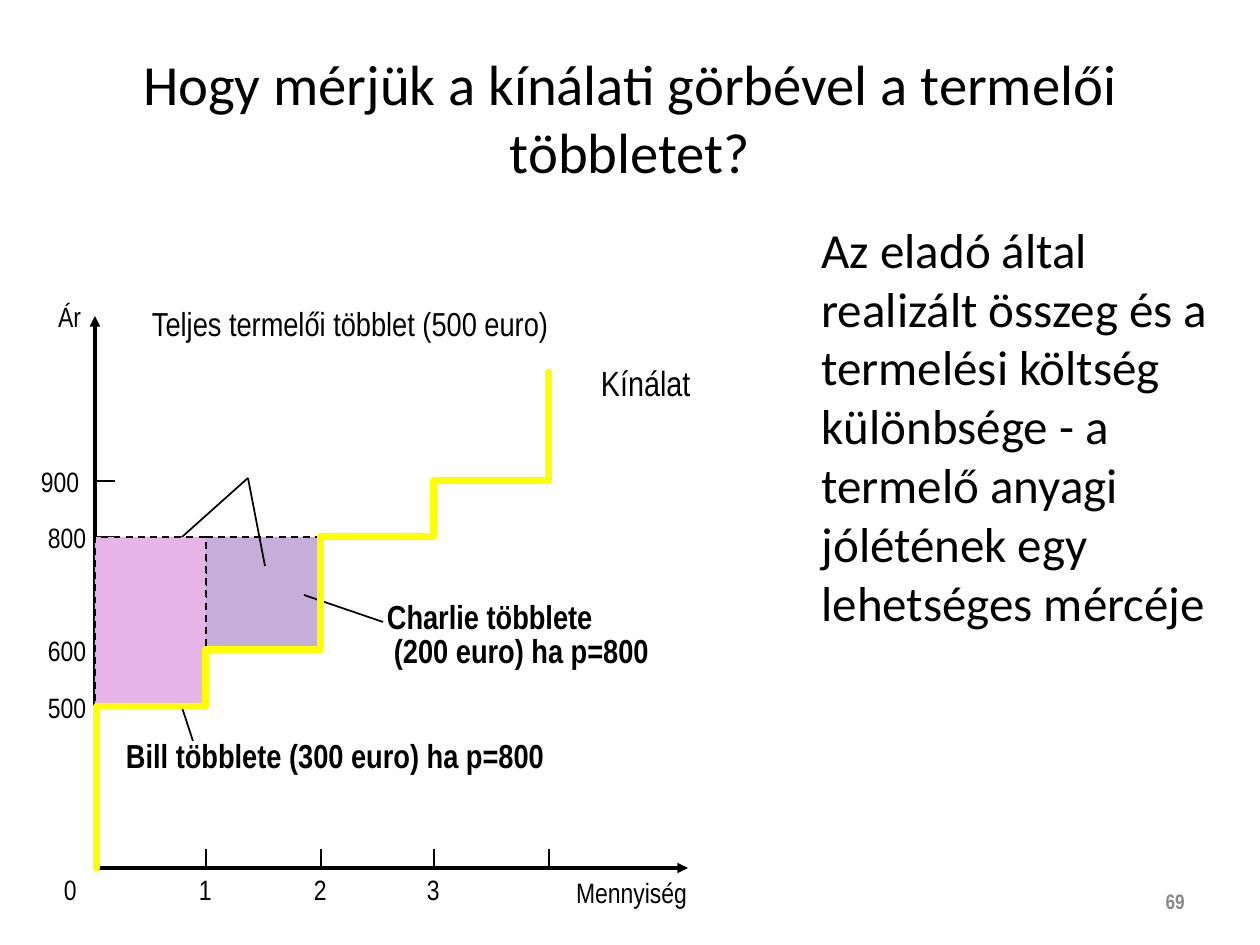
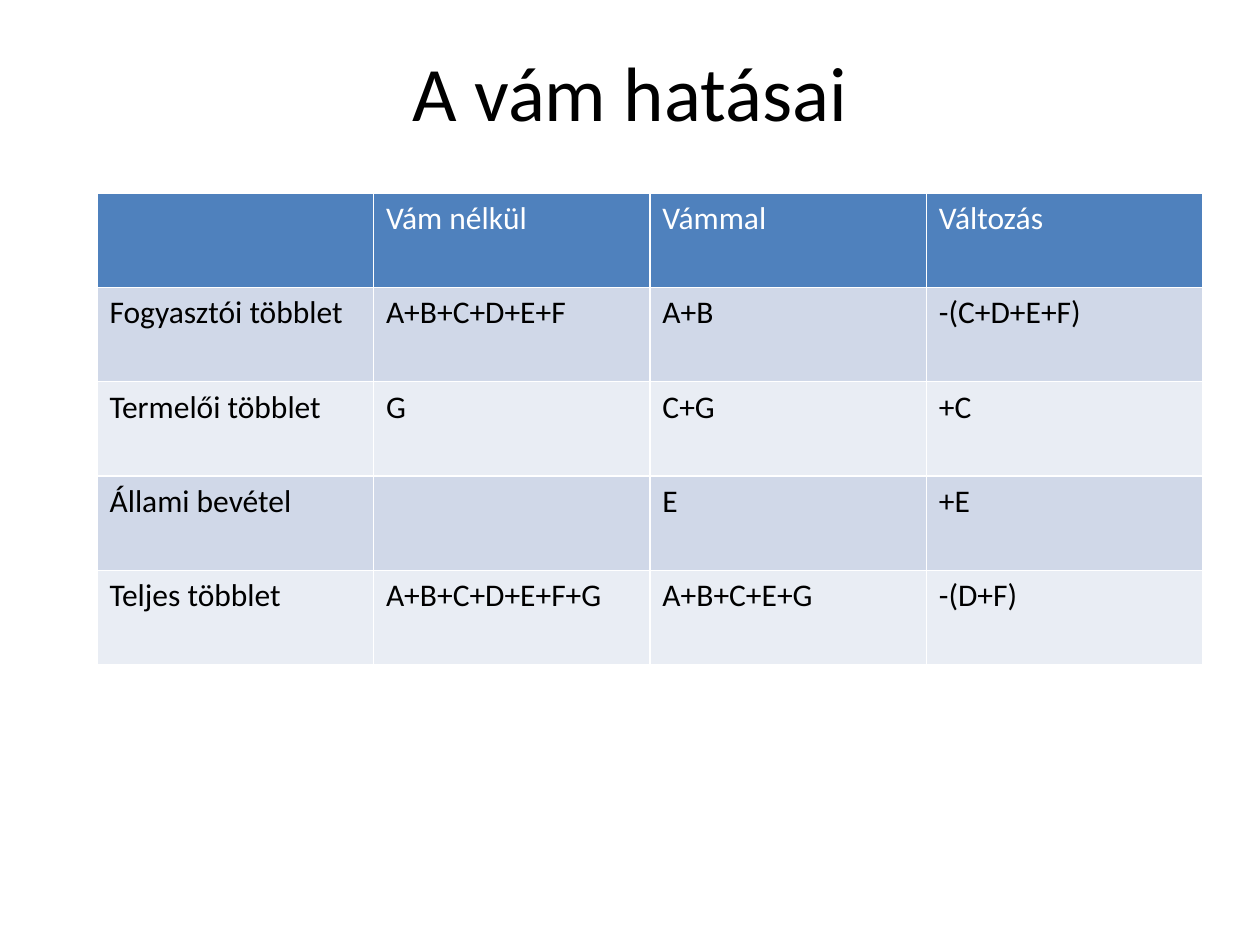
from lxml import etree
from pptx import Presentation
from pptx.dml.color import RGBColor
from pptx.enum.dml import MSO_LINE
from pptx.enum.shapes import MSO_CONNECTOR, MSO_SHAPE
from pptx.enum.text import MSO_ANCHOR, MSO_AUTO_SIZE, PP_ALIGN
from pptx.oxml.ns import qn
from pptx.util import Pt

# Shared measures, fonts and colours
PX = 914400 / 126
LEFT, CENTER, RIGHT = PP_ALIGN.LEFT, PP_ALIGN.CENTER, PP_ALIGN.RIGHT
TOP, MIDDLE = MSO_ANCHOR.TOP, MSO_ANCHOR.MIDDLE
FIT, NO_FIT = MSO_AUTO_SIZE.SHAPE_TO_FIT_TEXT, MSO_AUTO_SIZE.NONE
RECTANGLE, STRAIGHT, DASH = MSO_SHAPE.RECTANGLE, MSO_CONNECTOR.STRAIGHT, MSO_LINE.DASH
CHART_FONT, TEXT_FONT = "Arial Narrow", "Calibri"
BLACK, WHITE, GRAY, YELLOW = "000000", "FFFFFF", "898989", "FFFF00"
PINK, LILAC = "E6B4E6", "C5AED9"
HEADER, BAND_DARK, BAND_LIGHT = "4F81BD", "D0D8E8", "E9EDF4"
TITLE_ONLY, TITLE_AND_BODY = 5, 1

# Diagram grid: left edge of each unit sold, and the height of a price
UNIT_X = [95, 206, 321, 434, 549]
AXIS_Y = 868
TICK_PRICES = [500, 600, 800, 900]

TARIFF_ROWS = [
    ["", "Vám nélkül", "Vámmal", "Változás"],
    ["Fogyasztói többlet", "A+B+C+D+E+F", "A+B", "-(C+D+E+F)"],
    ["Termelői többlet", "G", "C+G", "+C"],
    ["Állami bevétel", "", "E", "+E"],
    ["Teljes többlet", "A+B+C+D+E+F+G", "A+B+C+E+G", "-(D+F)"],
]


def px(length):
    return round(length * PX)


def price_y(price):
    return round(706 - (price - 500) * 0.5625)


def color(hex_code):
    return RGBColor.from_string(hex_code)


def place(shape, left, top, width, height):
    shape.left, shape.top = px(left), px(top)
    shape.width, shape.height = px(width), px(height)


def add_text(para, text, size, font=CHART_FONT, fill=BLACK, bold=False, align=LEFT):
    para.alignment = align
    span = para.add_run()
    span.text = text
    span.font.size, span.font.name, span.font.bold = Pt(size), font, bold
    span.font.color.rgb = color(fill)


def set_title(page, text, size, anchor):
    title = page.shapes.title
    place(title, 63, 38, 1134, 157)
    frame = title.text_frame
    frame.auto_size, frame.vertical_anchor = NO_FIT, anchor
    add_text(frame.paragraphs[0], text, size, TEXT_FONT, align=CENTER)


def set_body(page, text):
    body = page.placeholders[1]
    place(body, 809, 213, 446, 428)
    frame = body.text_frame
    frame.auto_size = NO_FIT
    para = frame.paragraphs[0]
    properties = para._p.get_or_add_pPr()
    properties.set("marL", "0")
    properties.set("indent", "0")
    etree.SubElement(properties, qn("a:buNone"))
    para.space_before = Pt(0)
    add_text(para, text, 28, TEXT_FONT)


def add_label(page, lines, left, top, width, height, size=16, bold=False,
              align=LEFT, spacing=None, wrap=False, indent=0):
    """Unpadded text; lines after the first are indented."""
    box = page.shapes.add_textbox(px(left), px(top), px(width), px(height))
    frame = box.text_frame
    frame.margin_left = frame.margin_right = frame.margin_top = frame.margin_bottom = 0
    frame.word_wrap, frame.auto_size = wrap, FIT
    for index, line in enumerate(lines):
        para = frame.add_paragraph() if index else frame.paragraphs[0]
        if index and indent:
            para._p.get_or_add_pPr().set("marL", str(px(indent)))
        if spacing:
            para.line_spacing = spacing
        add_text(para, line, size, bold=bold, align=align)


def add_page_number(page, number):
    box = page.shapes.add_textbox(px(903), px(876), px(294), px(50))
    box.text_frame.word_wrap = True
    box.text_frame.vertical_anchor = MIDDLE
    add_text(box.text_frame.paragraphs[0], number, 12, fill=GRAY, bold=True, align=RIGHT)


def add_line(page, start, end):
    line = page.shapes.add_connector(STRAIGHT, *[px(value) for value in start + end])
    line.line.color.rgb, line.line.width = color(BLACK), Pt(1)
    etree.SubElement(line._element.spPr, qn("a:effectLst"))


def add_surplus(page, left, top, right, bottom, fill):
    area = page.shapes.add_shape(RECTANGLE, px(left), px(top),
                                 px(right - left), px(bottom - top))
    area.shadow.inherit = False
    area.fill.solid()
    area.fill.fore_color.rgb = color(fill)
    area.line.color.rgb, area.line.width = color(BLACK), Pt(1)
    area.line.dash_style = DASH


def add_path(page, points, stroke, width, arrows=False):
    builder = page.shapes.build_freeform(*points[0], scale=PX)
    builder.add_line_segments(points[1:], close=False)
    outline = builder.convert_to_shape()
    outline.shadow.inherit = False
    outline.fill.background()
    outline.line.color.rgb, outline.line.width = color(stroke), Pt(width)
    line = outline.line._get_or_add_ln()
    if arrows:
        for end in ("a:headEnd", "a:tailEnd"):
            etree.SubElement(line, qn(end), type="triangle")
    else:
        line.set("cap", "rnd")
        etree.SubElement(line, qn("a:round"))


def format_cell(cell, text, fill, text_fill):
    cell.fill.solid()
    cell.fill.fore_color.rgb = color(fill)
    properties = cell._tc.get_or_add_tcPr()
    for index, side in enumerate(("a:lnL", "a:lnR", "a:lnT", "a:lnB")):
        border = etree.Element(qn(side), w=str(Pt(1)))
        solid = etree.SubElement(border, qn("a:solidFill"))
        etree.SubElement(solid, qn("a:srgbClr"), val=WHITE)
        properties.insert(index, border)
    if text:
        add_text(cell.text_frame.paragraphs[0], text, 18, TEXT_FONT, text_fill)


def add_table(page, rows, left, top, width, height):
    table = page.shapes.add_table(len(rows), len(rows[0]), px(left), px(top),
                                  px(width), px(height)).table
    table.first_row = table.horz_banding = False
    for row_index, row in enumerate(rows):
        band = BAND_DARK if row_index % 2 else BAND_LIGHT
        fill, text_fill = (band, BLACK) if row_index else (HEADER, WHITE)
        for column, text in enumerate(row):
            format_cell(table.cell(row_index, column), text, fill, text_fill)


def draw_supply_diagram(page):
    y500, y600, y800, y900 = [price_y(price) for price in TICK_PRICES]
    origin, first, second, third, fourth = UNIT_X

    # Axes, ticks and scale labels
    for price in TICK_PRICES:
        y = price_y(price)
        add_line(page, (115, y), (93, y))
        left = 41 if price == 900 else 48
        add_label(page, [str(price)], left, y - 16, 39, 34)
    for x in UNIT_X[1:]:
        add_line(page, (x, 849), (x, 867))
    for number, x in enumerate(UNIT_X[:4]):
        center = x - 1 if number else 70
        add_label(page, [str(number)], center - 6, 873, 13, 34)
    add_path(page, [(origin, 316), (origin, AXIS_Y), (688, AXIS_Y)], BLACK, 2, arrows=True)
    add_label(page, ["Mennyiség"], 575, 881, 112, 29, align=RIGHT, spacing=0.85)
    add_label(page, ["Ár"], 58, 305, 23, 29, align=RIGHT, spacing=0.85)

    # Surplus areas and their captions
    add_line(page, (171, 674), (193, 741))
    add_label(page, ["Bill többlete (300 euro) ha p=800"], 126, 741, 440, 35,
              19, bold=True, spacing=0.85, wrap=True)
    add_surplus(page, first, y800, second, y600, LILAC)
    add_line(page, (304, 595), (383, 622))
    add_label(page, ["Charlie többlete", "(200 euro) ha p=800"], 387, 602, 265, 68,
              19, bold=True, spacing=0.85, indent=7)
    for end in ((154, 562), (265, 566)):
        add_line(page, (248, 478), end)
    add_label(page, ["Teljes termelői többlet (500 euro)"], 152, 309, 415, 34,
              19, spacing=0.85, wrap=True)
    add_surplus(page, origin, y800, first, y500, PINK)

    # Stepped supply curve
    add_label(page, ["Kínálat"], 601, 362, 91, 43, 20)
    add_path(page, [(97, AXIS_Y), (97, y500), (first, y500), (first, y600),
                    (second, y600), (second, y800), (third, y800), (third, y900),
                    (fourth, y900), (fourth, 372)], YELLOW, 4)


def main():
    deck = Presentation()
    deck.slide_width, deck.slide_height = px(1260), px(945)

    # Producer surplus
    page = deck.slides.add_slide(deck.slide_layouts[TITLE_AND_BODY])
    add_page_number(page, "69")
    draw_supply_diagram(page)
    set_title(page, "Hogy mérjük a kínálati görbével a termelői többletet?", 32.4, MIDDLE)
    set_body(page, "Az eladó által realizált összeg és a termelési költség különbsége - "
                   "a termelő anyagi jólétének egy lehetséges mércéje")

    # Effects of the tariff
    page = deck.slides.add_slide(deck.slide_layouts[TITLE_ONLY])
    set_title(page, "A vám hatásai", 44, TOP)
    add_table(page, TARIFF_ROWS, 97, 193, 1106, 472)

    deck.save("out.pptx")


if __name__ == "__main__":
    main()
